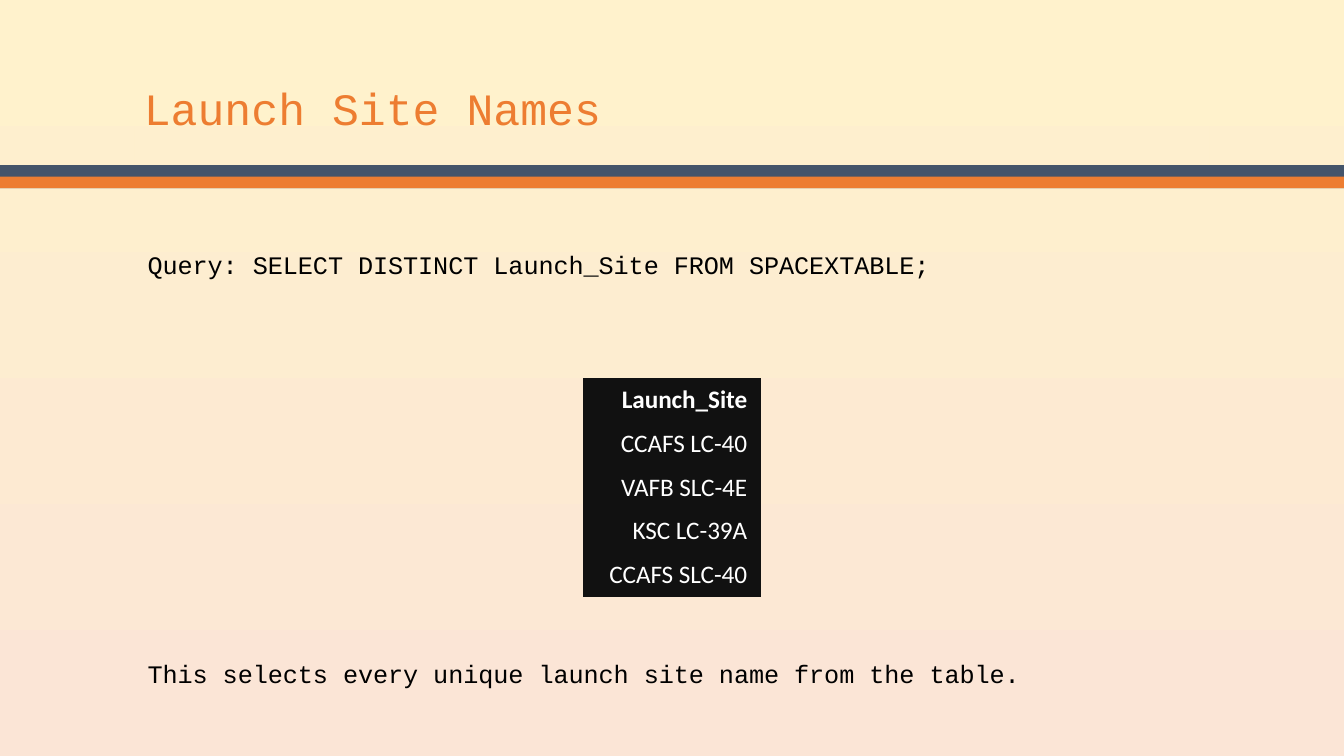
"""Build the launch site names slide."""
from pptx import Presentation
from pptx.dml.color import RGBColor
from pptx.enum.shapes import MSO_SHAPE
from pptx.enum.text import MSO_ANCHOR, MSO_AUTO_SIZE, PP_ALIGN
from pptx.util import Inches, Pt

COLORS = {
    "cream": "FFF2CC", "peach": "FBE5D6", "slate": "44546A", "orange": "ED7D31",
    "cell": "111111", "white": "FFFFFF", "black": "000000",
}
NO_GRID_STYLE = "{2D5ABB26-0587-4C30-8999-92F81FD0307C}"


def rgb(name):
    return RGBColor.from_string(COLORS[name])


def style(para, font_name, size, color, bold=False):
    para.font.name = font_name
    para.font.size = Pt(size)
    para.font.color.rgb = rgb(color)
    para.font.bold = bold


deck = Presentation()
deck.slide_width = Inches(10)
deck.slide_height = deck.slide_width * 9 // 16
page = deck.slides.add_slide(deck.slide_layouts[5])

backdrop = page.background.fill
backdrop.gradient()
backdrop.gradient_angle = 270
for stop, position, color in zip(backdrop.gradient_stops, (0, 1), ("cream", "peach")):
    stop.position = position
    stop.color.rgb = rgb(color)

title = page.shapes.title
title._element.set("useBgFill", "1")
title.left, title.top, title.width, title.height = (
    Inches(1), Inches(0.42), Inches(8), Inches(0.81))
frame = title.text_frame
frame.text = "Launch Site Names"
frame.vertical_anchor = MSO_ANCHOR.MIDDLE
frame.margin_left = frame.margin_right = Inches(0.07)
frame.margin_top = frame.margin_bottom = Inches(0.04)
heading = frame.paragraphs[0]
heading.alignment = PP_ALIGN.LEFT
heading.line_spacing = 0.9
style(heading, "Courier New", 24, "orange")

band_top, band_height = Inches(1.23), Inches(0.17)
half = band_height // 2
for top, height, color in (
    (band_top, band_height, "slate"),
    (band_top + half, half, "orange"),
):
    stripe = page.shapes.add_shape(
        MSO_SHAPE.RECTANGLE, 0, top, deck.slide_width, height)
    stripe.shadow.inherit = False
    stripe.fill.solid()
    stripe.fill.fore_color.rgb = rgb(color)
    stripe.line.fill.background()

for top, text in (
    (1.81, "Query: SELECT DISTINCT Launch_Site FROM SPACEXTABLE;"),
    (4.85, "This selects every unique launch site name from the table."),
):
    box = page.shapes.add_textbox(Inches(1), Inches(top), Inches(8), Inches(0.33))
    box.text_frame.word_wrap = True
    box.text_frame.auto_size = MSO_AUTO_SIZE.SHAPE_TO_FIT_TEXT
    para = box.text_frame.paragraphs[0]
    para.text = text
    style(para, "Courier New", 13.5, "black")

sites = ["Launch_Site", "CCAFS LC-40", "VAFB SLC-4E", "KSC LC-39A", "CCAFS SLC-40"]
table = page.shapes.add_table(
    len(sites), 1, Inches(4.34), deck.slide_height // 2,
    Inches(1.32), Inches(1.62)).table
table.horz_banding = False
table._tbl.tblPr[0].text = NO_GRID_STYLE
for row, site in enumerate(sites):
    cell = table.cell(row, 0)
    cell.text = site
    cell.vertical_anchor = MSO_ANCHOR.MIDDLE
    cell.fill.solid()
    cell.fill.fore_color.rgb = rgb("cell")
    para = cell.text_frame.paragraphs[0]
    para.alignment = PP_ALIGN.RIGHT
    style(para, "Calibri", 13.5, "white", bold=row == 0)

deck.save("out.pptx")
